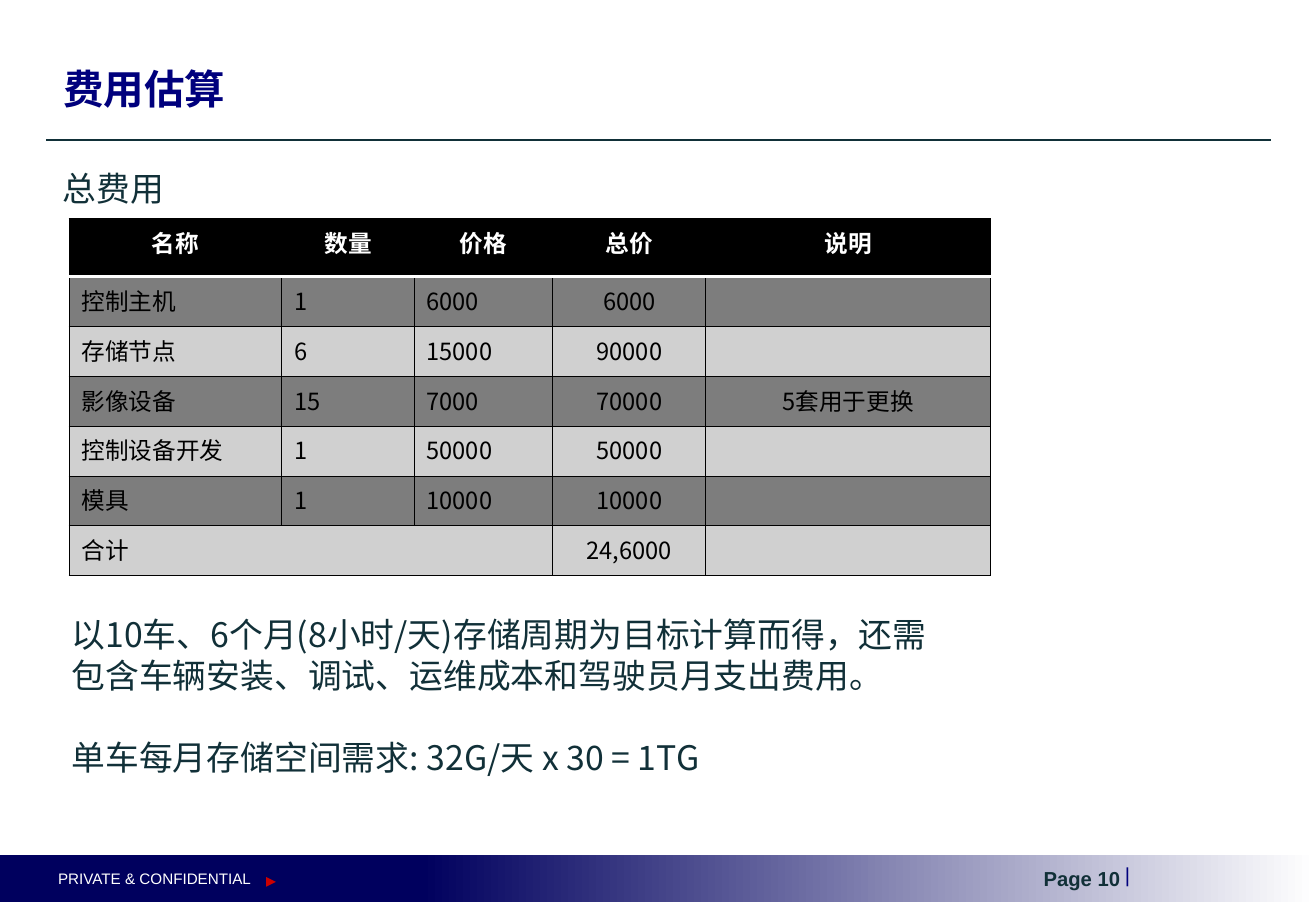
from lxml import etree
from pptx import Presentation
from pptx.dml.color import RGBColor
from pptx.enum.shapes import MSO_CONNECTOR, MSO_SHAPE
from pptx.enum.text import MSO_ANCHOR, PP_ALIGN
from pptx.oxml.ns import qn
from pptx.util import Inches, Pt

LEFT, CENTER = PP_ALIGN.LEFT, PP_ALIGN.CENTER
MIDDLE = MSO_ANCHOR.MIDDLE
RECTANGLE, PENTAGON = MSO_SHAPE.RECTANGLE, MSO_SHAPE.PENTAGON
STRAIGHT = MSO_CONNECTOR.STRAIGHT

COLORS = {
    "navy": "00007D",
    "footer": "00005E",
    "ink": "113038",
    "white": "FFFFFF",
    "black": "000000",
    "dark_row": "7D7D7D",
    "light_row": "D0D0D0",
    "marker": "CC0000",
}
LATIN_FONT, CHINESE_FONT = "Arial", "Noto Sans CJK SC"

TITLE = "费用估算"
SUBTITLE = ["总费用"]
NOTES = [
    "以10车、6个月(8小时/天)存储周期为目标计算而得，还需",
    "包含车辆安装、调试、运维成本和驾驶员月支出费用。",
    "单车每月存储空间需求: 32G/天 x 30 = 1TG",
]
COSTS = [
    ("名称", "数量", "价格", "总价", "说明"),
    ("控制主机", "1", "6000", "6000", ""),
    ("存储节点", "6", "15000", "90000", ""),
    ("影像设备", "15", "7000", "70000", "5套用于更换"),
    ("控制设备开发", "1", "50000", "50000", ""),
    ("模具", "1", "10000", "10000", ""),
    ("合计", "", "", "24,6000", ""),
]
COLUMN_WIDTHS = [1.75, 1.09, 1.14, 1.26, 2.34]
HEADER_HEIGHT, ROW_HEIGHT = 0.48, 0.41
LINE_PITCH = 24.3
FOOTER_TEXTS = [
    ("Page 10", (8.49, 7.08, 0.89, 0.3), 12, "ink", True),
    ("|", (9.16, 7.05, 0.24, 0.3), 12, "navy", False),
    ("PRIVATE & CONFIDENTIAL", (0.38, 7.11, 1.81, 0.26), 9, "white", False),
]


def color(name):
    return RGBColor.from_string(COLORS[name])


def box(*lengths):
    return [Inches(length) for length in lengths]


def format_paragraph(paragraph, size, color_name, font_name, bold=False, align=LEFT):
    paragraph.alignment = align
    font = paragraph.font
    font.size, font.bold, font.name = Pt(size), bold, font_name
    font.color.rgb = color(color_name)
    properties = paragraph._p.pPr.find(qn("a:defRPr"))
    etree.SubElement(properties, qn("a:ea"), typeface=CHINESE_FONT)
    if not paragraph.text:
        etree.SubElement(paragraph._p, qn("a:endParaRPr"), sz=str(size * 100))


def add_text(slide, lines, position, size, color_name, font_name, bold=False, wrap=False):
    frame = slide.shapes.add_textbox(*box(*position)).text_frame
    frame.word_wrap = wrap
    frame.text = "\n".join(lines)
    for paragraph in frame.paragraphs:
        format_paragraph(paragraph, size, color_name, font_name, bold)
    return frame


def add_plain_shape(slide, kind, position):
    shape = slide.shapes.add_shape(kind, *box(*position))
    shape.shadow.inherit = False
    shape.line.fill.background()
    return shape


def add_border(cell, side, color_name, width):
    properties = cell._tc.get_or_add_tcPr()
    line = etree.SubElement(properties, qn(f"a:ln{side}"), w=str(Pt(width)))
    fill = etree.SubElement(line, qn("a:solidFill"))
    etree.SubElement(fill, qn("a:srgbClr"), val=COLORS[color_name])


def format_cell(cell, text, row, column):
    header = row == 0
    cell.text = text
    align = CENTER if header or column >= 3 else LEFT
    format_paragraph(cell.text_frame.paragraphs[0], 14, "white" if header else "black",
                     CHINESE_FONT, header, align)
    for side in "LRTB":
        under_header = (row, side) in ((0, "B"), (1, "T"))
        add_border(cell, side, *(("white", 2) if under_header else ("black", 0.75)))
    cell.fill.solid()
    body_fill = "dark_row" if row % 2 else "light_row"
    cell.fill.fore_color.rgb = color("black" if header else body_fill)


def add_footer(slide):
    band = add_plain_shape(slide, RECTANGLE, (0, 7.04, 10.83, 0.39))
    band.fill.gradient()
    band.fill.gradient_angle = 0
    stops = zip(band.fill.gradient_stops, ((0.32, "footer"), (1, "white")))
    for stop, (position, color_name) in stops:
        stop.position = position
        stop.color.rgb = color(color_name)
    marker = add_plain_shape(slide, PENTAGON, (2.19, 7.22, 0.08, 0.08))
    marker.adjustments[0] = 1
    marker.fill.solid()
    marker.fill.fore_color.rgb = color("marker")
    for text, position, size, color_name, bold in FOOTER_TEXTS:
        add_text(slide, [text], position, size, color_name, LATIN_FONT, bold)


def add_title(slide):
    rule = slide.shapes.add_connector(STRAIGHT, *box(0.38, 1.15, 10.46, 1.15))
    rule.line.color.rgb = color("ink")
    rule.line.width = Pt(1.25)
    etree.SubElement(rule._element.spPr, qn("a:effectLst"))
    title = slide.shapes.title
    title.left, title.top, title.width, title.height = box(0.42, 0.36, 10, 0.73)
    title.text_frame.text = TITLE
    title.text_frame.vertical_anchor = MIDDLE
    format_paragraph(title.text_frame.paragraphs[0], 24, "navy", LATIN_FONT, True)


def add_cost_table(slide):
    heights = [HEADER_HEIGHT] + [ROW_HEIGHT] * (len(COSTS) - 1)
    position = box(0.57, 1.8, sum(COLUMN_WIDTHS), sum(heights))
    table = slide.shapes.add_table(len(COSTS), len(COLUMN_WIDTHS), *position).table
    for column, width in zip(table.columns, COLUMN_WIDTHS):
        column.width = Inches(width)
    for row, height in zip(table.rows, heights):
        row.height = Inches(height)
    for row, texts in enumerate(COSTS):
        for column, text in enumerate(texts):
            format_cell(table.cell(row, column), text, row, column)
    last = len(COSTS) - 1
    table.cell(last, 0).merge(table.cell(last, 2))


def add_notes_text(slide):
    subtitle = add_text(slide, SUBTITLE, (0.42, 1.33, 1.04, 0.44), 20, "ink", CHINESE_FONT)
    notes = add_text(slide, NOTES, (0.49, 5, 7.33, 1.78), 20, "ink", CHINESE_FONT, wrap=True)
    for paragraph in subtitle.paragraphs + notes.paragraphs:
        paragraph.line_spacing = Pt(LINE_PITCH)
    notes.paragraphs[-1].space_before = Pt(LINE_PITCH)


def main():
    presentation = Presentation()
    presentation.slide_width, presentation.slide_height = box(10.83, 7.5)
    slide = presentation.slides.add_slide(presentation.slide_layouts[5])
    add_footer(slide)
    add_title(slide)
    add_cost_table(slide)
    add_notes_text(slide)
    presentation.save("out.pptx")


if __name__ == "__main__":
    main()
